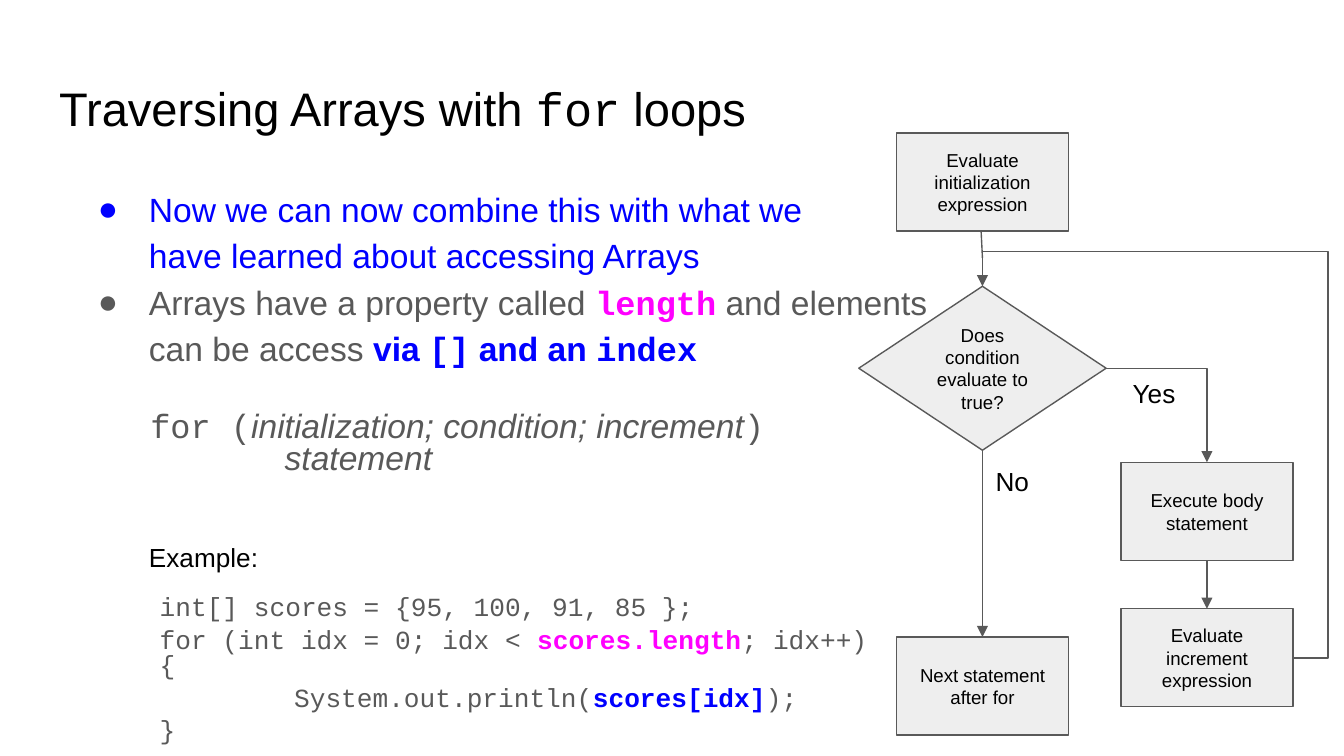
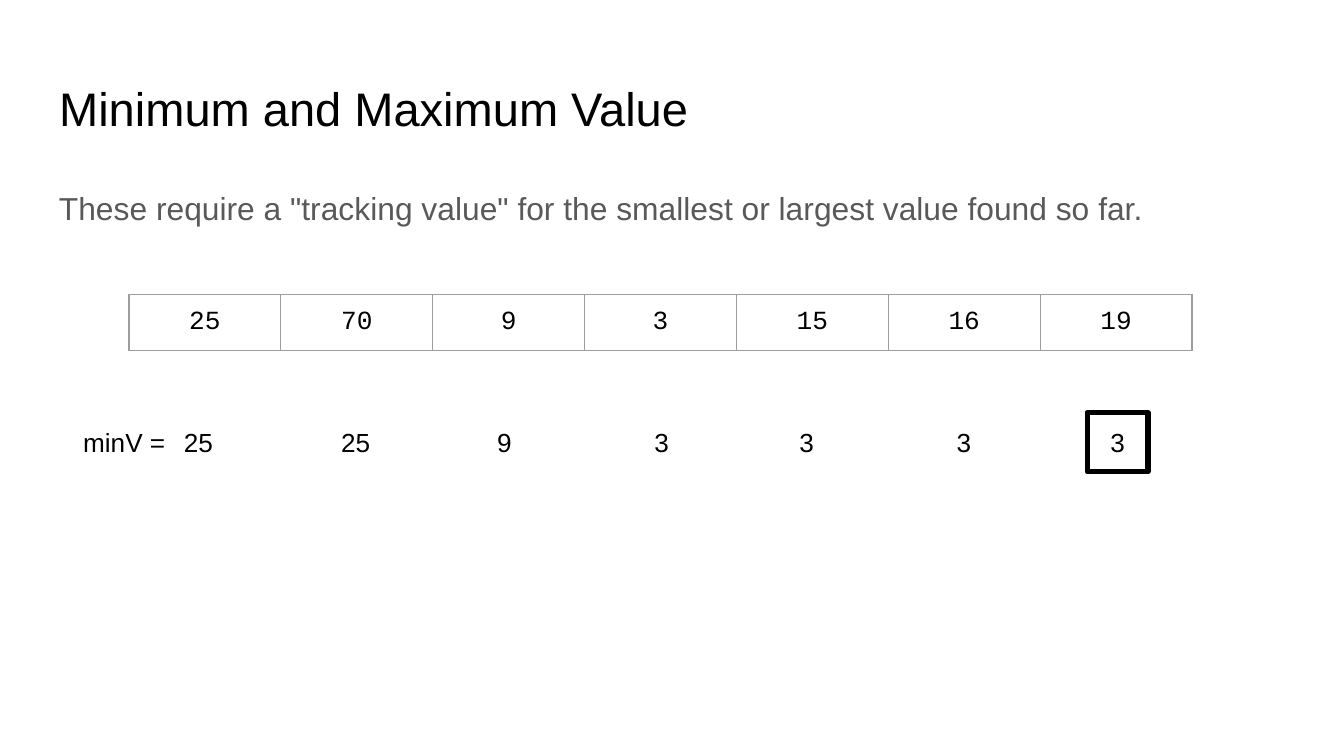
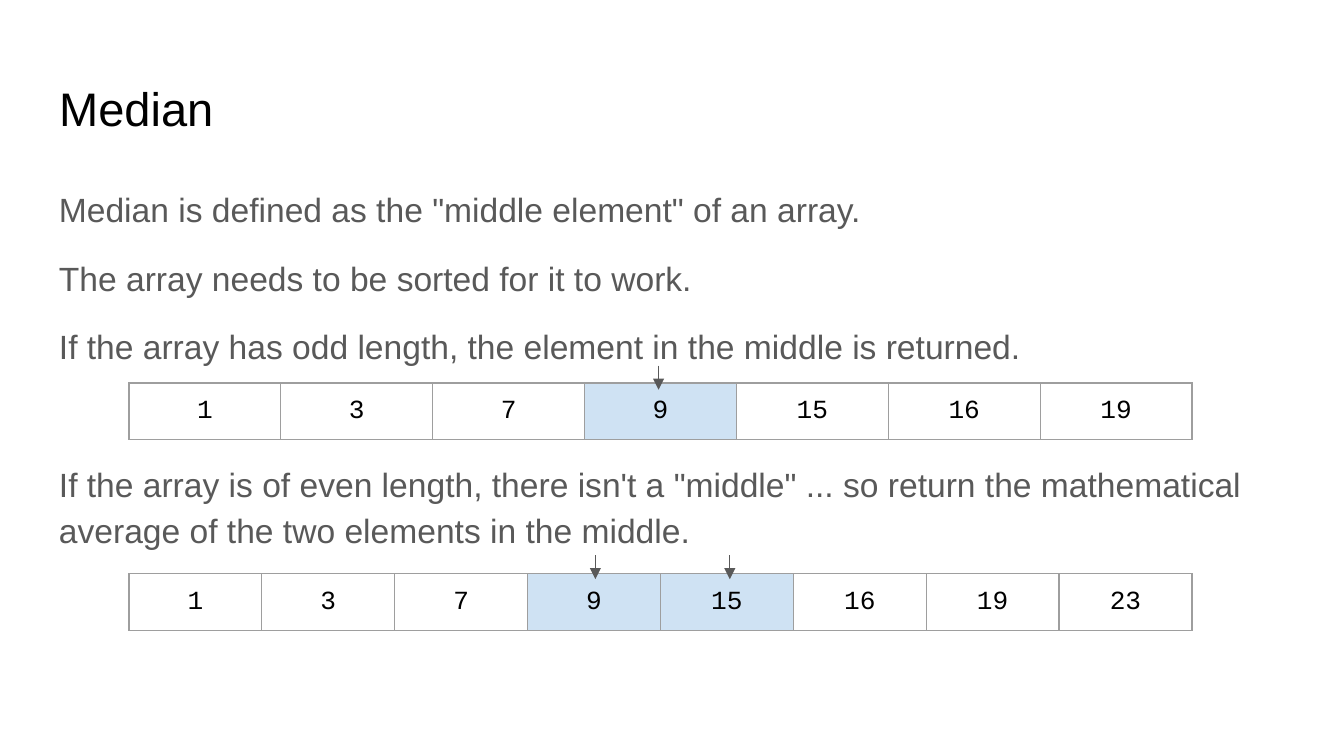
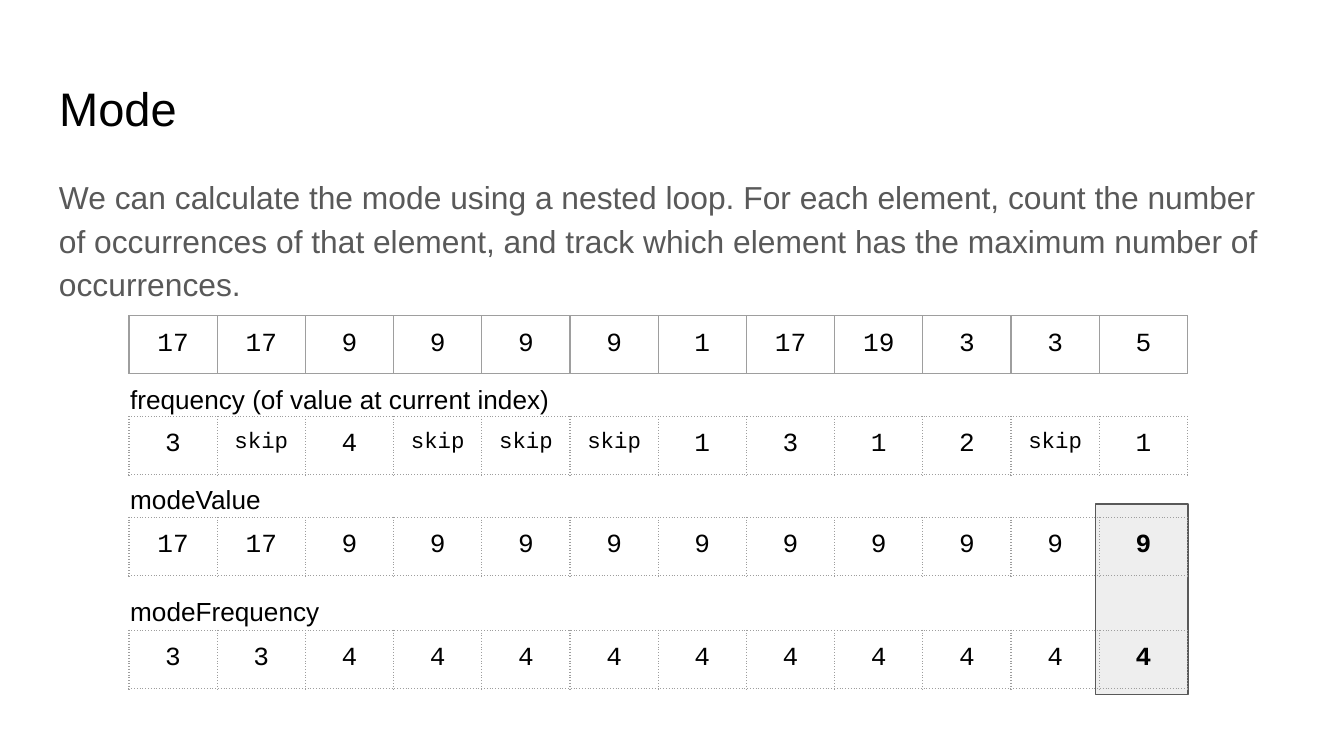
from dataclasses import dataclass, replace
from typing import NamedTuple, Optional, Sequence

import pptx
import pptx.dml.color
import pptx.enum.dml
import pptx.enum.shapes
import pptx.enum.text
import pptx.oxml.ns
import pptx.slide
import pptx.util
from lxml import etree

RGBColor = pptx.dml.color.RGBColor
Shapes = pptx.enum.shapes.MSO_SHAPE
Connectors = pptx.enum.shapes.MSO_CONNECTOR
Align = pptx.enum.text.PP_ALIGN
Anchor = pptx.enum.text.MSO_ANCHOR
qn = pptx.oxml.ns.qn

# Shared look: 100 px to the inch
PX = 9144
SLIDE_WIDTH = 1000
SANS, MONO = "Arial", "Courier New"
BLACK = RGBColor(0x00, 0x00, 0x00)
GRAY = RGBColor(0x59, 0x59, 0x59)
GRID = RGBColor(0x9E, 0x9E, 0x9E)
PANEL = RGBColor(0xEE, 0xEE, 0xEE)
MIDDLE = RGBColor(0xCF, 0xE2, 0xF3)
BLUE = RGBColor(0x00, 0x00, 0xFF)
MAGENTA = RGBColor(0xFF, 0x00, 0xFF)
NO_STYLE = "{2D5ABB26-0587-4C30-8999-92F81FD0307C}"
TOP, LEFT, BOTTOM, RIGHT = range(4)  # connection sites
TABLE_LEFT = 96


class Box(NamedTuple):
    left: int
    top: int
    width: int
    height: int

    def emu(self) -> list[int]:
        return [px(value) for value in self]


class Run(NamedTuple):
    """A piece of text and what differs from its paragraph."""
    text: str
    font: Optional[str] = None
    color: Optional[RGBColor] = None
    bold: Optional[bool] = None
    italic: Optional[bool] = None


@dataclass(frozen=True)
class Style:
    size: float
    font: str = SANS
    color: RGBColor = BLACK
    align: int = Align.LEFT
    line: float = 1.0
    before: int = 0
    after: int = 0
    indent: int = 0
    hanging: int = 0
    bullet: str = ""
    bold: bool = False


class Paragraph(NamedTuple):
    style: Style
    runs: Sequence[Run]


TITLE = Style(25.2)
LABEL = Style(14)
STEP = Style(10, align=Align.CENTER)
BODY = Style(18, color=GRAY, line=1.15)
INTRO = replace(BODY, size=17)
BULLET = replace(BODY, indent=50, hanging=38, bullet="●")
SYNTAX = Style(18, MONO, GRAY, line=0.6, before=4)
CODE = Style(14, MONO, GRAY, line=0.8, before=4)
CELL = Style(14, MONO, align=Align.CENTER)


def px(value: float) -> int:
    return round(value * PX)


def add_xml(parent, tag: str, **attributes: str):
    child = etree.SubElement(parent, qn(tag))
    for name, value in attributes.items():
        child.set(name, value)
    return child


# Text
def plain(style: Style, text: str) -> Paragraph:
    return Paragraph(style, [Run(text)])


def format_paragraph(paragraph, style: Style) -> None:
    paragraph.alignment = style.align
    paragraph.line_spacing = style.line
    paragraph.space_before = pptx.util.Pt(style.before)
    paragraph.space_after = pptx.util.Pt(style.after)
    properties = paragraph._p.get_or_add_pPr()
    properties.set("marL", str(px(style.indent)))
    properties.set("indent", str(px(-style.hanging)))
    if style.bullet:
        color = add_xml(properties, "a:buClr")
        add_xml(color, "a:srgbClr", val=str(style.color))
        add_xml(properties, "a:buFont", typeface=SANS)
        add_xml(properties, "a:buChar", char=style.bullet)
    else:
        add_xml(properties, "a:buNone")
    font = paragraph.font
    font.name, font.size, font.bold = style.font, pptx.util.Pt(style.size), style.bold
    font.color.rgb = style.color


def add_run(paragraph, part: Run) -> None:
    for index, text in enumerate(part.text.split("\n")):
        if index:
            paragraph.add_line_break()
        run = paragraph.add_run()
        run.text = text
        if part.font:
            run.font.name = part.font
        if part.color is not None:
            run.font.color.rgb = part.color
        if part.bold is not None:
            run.font.bold = part.bold
        if part.italic is not None:
            run.font.italic = part.italic


def write(frame, paragraphs: Sequence[Paragraph], anchor=Anchor.TOP) -> None:
    frame.word_wrap = True
    frame.auto_size = pptx.enum.text.MSO_AUTO_SIZE.NONE
    frame.vertical_anchor = anchor
    frame.margin_left = frame.margin_right = px(10)
    frame.margin_top = frame.margin_bottom = px(10)
    for index, content in enumerate(paragraphs):
        paragraph = frame.add_paragraph() if index else frame.paragraphs[0]
        format_paragraph(paragraph, content.style)
        for part in content.runs:
            add_run(paragraph, part)


def add_text(slide: pptx.slide.Slide, box: Box, *paragraphs: Paragraph) -> None:
    write(slide.shapes.add_textbox(*box.emu()).text_frame, paragraphs)


def add_label(slide: pptx.slide.Slide, left: int, top: int, width: int, text: str) -> None:
    add_text(slide, Box(left, top, width, 44), plain(LABEL, text))


def add_titled_slide(presentation, *runs: Run) -> pptx.slide.Slide:
    slide = presentation.slides.add_slide(presentation.slide_layouts[5])
    title = slide.shapes.title
    title.left, title.top, title.width, title.height = Box(34, 49, 932, 63).emu()
    write(title.text_frame, [Paragraph(TITLE, runs)])
    return slide


# Shapes and connectors
def add_panel(slide: pptx.slide.Slide, box: Box, kind=Shapes.RECTANGLE,
              fill: Optional[RGBColor] = PANEL, line: RGBColor = GRAY,
              weight: float = 0.75, content: Sequence[Paragraph] = ()):
    shape = slide.shapes.add_shape(kind, *box.emu())
    shape.shadow.inherit = False
    if fill is None:
        shape.fill.background()
    else:
        shape.fill.solid()
        shape.fill.fore_color.rgb = fill
    shape.line.color.rgb = line
    shape.line.width = pptx.util.Pt(weight)
    if content:
        write(shape.text_frame, content, Anchor.MIDDLE)
    return shape


def add_step(slide: pptx.slide.Slide, left: int, top: int, text: str):
    return add_panel(slide, Box(left, top, 128, 73), content=[plain(STEP, text)])


def add_line(slide: pptx.slide.Slide, start: tuple[int, int], end: tuple[int, int],
             kind=Connectors.STRAIGHT, arrow: bool = True):
    connector = slide.shapes.add_connector(kind, *map(px, start + end))
    connector.line.color.rgb = GRAY
    connector.line.width = pptx.util.Pt(0.75)
    if arrow:
        add_xml(connector.line._get_or_add_ln(), "a:tailEnd", type="triangle")
    add_xml(connector._element.spPr, "a:effectLst")
    return connector


def link(slide: pptx.slide.Slide, source, source_site: int, target, target_site: int,
         preset: str = ""):
    kind = Connectors.ELBOW if preset else Connectors.STRAIGHT
    connector = add_line(slide, (0, 0), (0, 0), kind)
    connector.begin_connect(source, source_site)
    connector.end_connect(target, target_site)
    if preset:
        connector._element.spPr.find(qn("a:prstGeom")).set("prst", preset)
    return connector


def route_back(connector, **adjustments: int) -> None:
    """Turn the connector half round and set where it bends."""
    properties = connector._element.spPr
    frame = properties.find(qn("a:xfrm"))
    frame.flipH = frame.flipV = False
    frame.set("rot", "10800000")
    geometry = properties.find(qn("a:prstGeom"))
    guides = geometry.find(qn("a:avLst"))
    if guides is None:
        guides = add_xml(geometry, "a:avLst")
    for name, value in adjustments.items():
        add_xml(guides, "a:gd", name=name, fmla=f"val {value}")


# Arrays drawn as one-row tables
def border_cell(cell, dash: str) -> None:
    properties = cell._tc.get_or_add_tcPr()
    for index, side in enumerate(("lnL", "lnR", "lnT", "lnB")):
        line = etree.Element(qn(f"a:{side}"), w=str(pptx.util.Pt(0.75)))
        add_xml(add_xml(line, "a:solidFill"), "a:srgbClr", val=str(GRID))
        add_xml(line, "a:prstDash", val=dash)
        properties.insert(index, line)


def add_array(slide: pptx.slide.Slide, top: int, values: str, width: int = 791,
              height: int = 42, dash: str = "solid", marked: Sequence[int] = (),
              bold_last: bool = False) -> None:
    items = values.split()
    box = Box(TABLE_LEFT, top, width, height)
    table = slide.shapes.add_table(1, len(items), *box.emu()).table
    table.first_row = table.horz_banding = False
    table._tbl.tblPr.find(qn("a:tableStyleId")).text = NO_STYLE
    for index, item in enumerate(items):
        table.columns[index].width = px(width / len(items))
        cell = table.cell(0, index)
        cell.margin_left = cell.margin_right = px(10)
        cell.margin_top = cell.margin_bottom = px(10)
        if index in marked:
            cell.fill.solid()
            cell.fill.fore_color.rgb = MIDDLE
        else:
            cell.fill.background()
        border_cell(cell, dash)
        paragraph = cell.text_frame.paragraphs[0]
        format_paragraph(paragraph, replace(
            CELL, size=12 if item == "skip" else 14,
            bold=bold_last and index == len(items) - 1))
        add_run(paragraph, Run(item))


# Slides
def build_for_loops(presentation) -> None:
    slide = add_titled_slide(presentation, Run("Traversing Arrays with "),
                             Run("for", MONO), Run(" loops"))
    add_text(
        slide, Box(51, 126, 932, 374),
        plain(replace(BULLET, color=BLUE),
              "Now we can now combine this with what we \nhave learned about accessing Arrays"),
        Paragraph(BULLET, [
            Run("Arrays have a property called "),
            Run("length", MONO, MAGENTA, True),
            Run(" and elements\ncan be access "),
            Run("via ", None, BLUE, True), Run("[]", MONO, BLUE, True),
            Run(" and an ", None, BLUE, True), Run("index", MONO, BLUE, True)]))
    add_text(
        slide, Box(102, 302, 481, 85),
        Paragraph(SYNTAX, [
            Run("for ("),
            Run("initialization; condition; increment", SANS, italic=True),
            Run(")")]),
        Paragraph(replace(SYNTAX, indent=100), [Run("statement", SANS, italic=True)]))
    add_label(slide, 101, 393, 328, "Example:")
    add_text(
        slide, Box(109, 434, 558, 131),
        plain(CODE, "int[] scores = {95, 100, 91, 85 };"),
        Paragraph(CODE, [Run("for (int idx = 0; idx < "),
                         Run("scores.length", None, MAGENTA, True),
                         Run("; idx++) {")]),
        Paragraph(replace(CODE, indent=100), [
            Run("System.out.println("), Run("scores[idx]", None, BLUE, True), Run(");")]),
        plain(CODE, "}"))

    # Flowchart
    condition = add_panel(slide, Box(639, 213, 184, 122), Shapes.FLOWCHART_DECISION,
                          content=[plain(STEP, "Does condition evaluate to true?")])
    add_step(slide, 667, 99, "Evaluate initialization expression")
    body = add_step(slide, 834, 344, "Execute body statement")
    increment = add_step(slide, 834, 453, "Evaluate increment expression")
    following = add_step(slide, 667, 474, "Next statement after for")
    add_line(slide, (730, 172), (731, 192), arrow=False)
    link(slide, condition, BOTTOM, following, TOP)
    link(slide, condition, RIGHT, body, TOP, "bentConnector2")
    link(slide, body, BOTTOM, increment, TOP)
    back = link(slide, increment, RIGHT, condition, TOP, "bentConnector4")
    route_back(back, adj1=-11300, adj2=109400)
    add_label(slide, 833, 271, 53, "Yes")
    add_label(slide, 731, 336, 53, "No")


def build_minimum(presentation) -> None:
    slide = add_titled_slide(presentation, Run("Minimum and Maximum Value"))
    add_text(slide, Box(34, 126, 932, 411), plain(
        INTRO, 'These require a "tracking value" for the smallest or largest value found so far.'))
    add_array(slide, 219, "25 70 9 3 15 16 19")
    add_label(slide, 52, 307, 92, "minV =")
    for left, minimum in zip((127, 244, 360, 477, 585, 702), (25, 25, 9, 3, 3, 3)):
        add_label(slide, left, 307, 45, str(minimum))
    result = add_panel(slide, Box(809, 307, 45, 44), fill=None, line=BLACK, weight=3,
                       content=[plain(replace(LABEL, align=Align.CENTER), "3")])
    add_xml(result.line._get_or_add_ln(), "a:round")


def build_median(presentation) -> None:
    slide = add_titled_slide(presentation, Run("Median"))
    spaced = replace(BODY, before=12)
    add_text(
        slide, Box(34, 126, 932, 374),
        plain(BODY, 'Median is defined as the "middle element" of an array.'),
        plain(spaced, "The array needs to be sorted for it to work."),
        plain(spaced, "If the array has odd length, the element in the middle is returned."),
        plain(replace(BODY, before=49, after=12),
              'If the array is of even length, there isn\'t a "middle" ... so return '
              "the mathematical average of the two elements in the middle."))
    add_array(slide, 285, "1 3 7 9 15 16 19", marked=[3])
    add_array(slide, 427, "1 3 7 9 15 16 19 23", marked=[3, 4])
    for x, top in ((490, 272), (443, 413), (543, 413)):
        add_line(slide, (x, top), (x, top + 18))


def build_mode(presentation) -> None:
    slide = add_titled_slide(presentation, Run("Mode"))
    add_panel(slide, Box(815, 375, 69, 142))
    add_text(slide, Box(34, 118, 932, 411), plain(
        INTRO, "We can calculate the mode using a nested loop. For each element, count the "
        "number of occurrences of that element, and track which element has the maximum "
        "number of occurrences."))
    add_array(slide, 235, "17 17 9 9 9 9 1 17 19 3 3 5", 788, 43)
    tracked = (
        (310, "3 skip 4 skip skip skip 1 3 1 2 skip 1", False),
        (385, "17 17 9 9 9 9 9 9 9 9 9 9", True),
        (469, "3 3 4 4 4 4 4 4 4 4 4 4", True))
    for top, values, bold_last in tracked:
        add_array(slide, top, values, 788, 43, "dot", bold_last=bold_last)
    add_label(slide, 87, 275, 363, "frequency (of value at current index)")
    add_label(slide, 87, 350, 128, "modeValue")
    add_label(slide, 87, 433, 189, "modeFrequency")


def main() -> None:
    presentation = pptx.Presentation()
    presentation.slide_width = px(SLIDE_WIDTH)
    presentation.slide_height = px(SLIDE_WIDTH * 9 / 16)
    for build in (build_for_loops, build_minimum, build_median, build_mode):
        build(presentation)
    presentation.save("out.pptx")


if __name__ == "__main__":
    main()
